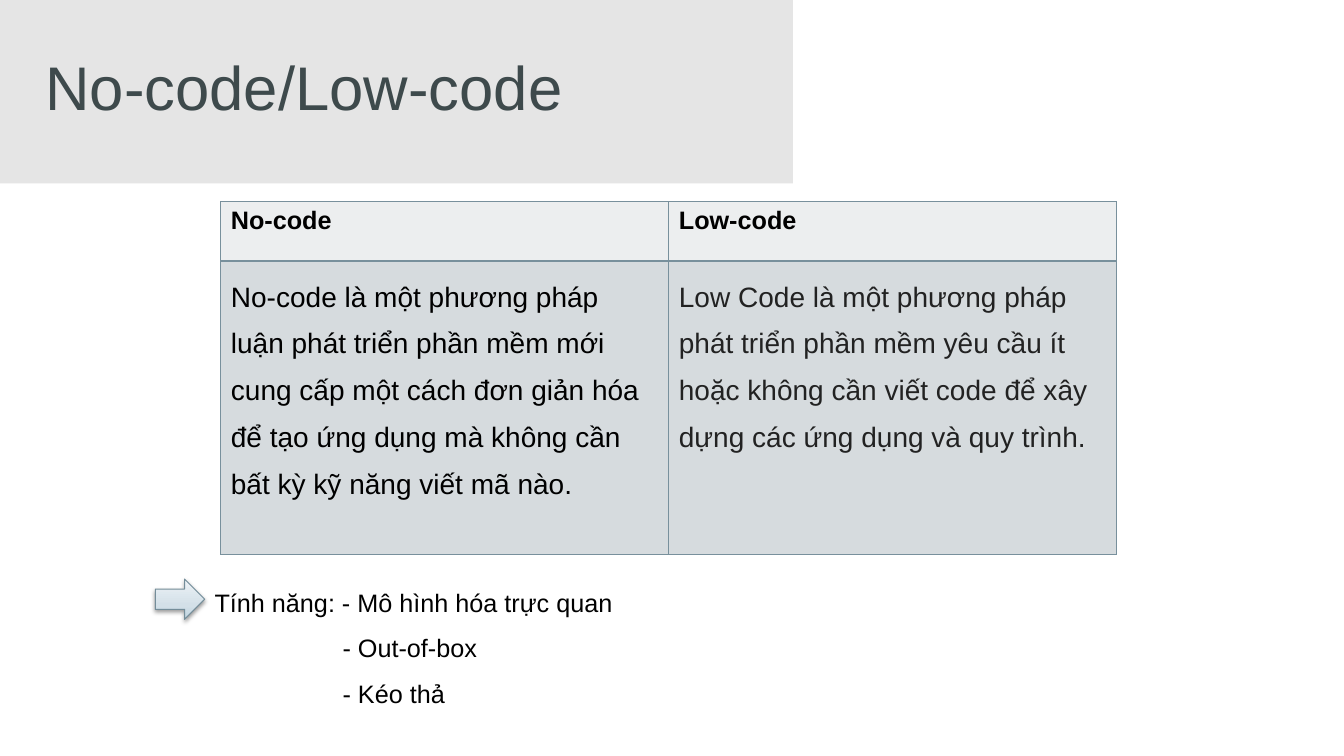
from dataclasses import dataclass

from lxml import etree
from pptx import Presentation
from pptx.dml.color import RGBColor
from pptx.enum.shapes import MSO_SHAPE
from pptx.enum.text import MSO_ANCHOR, PP_ALIGN
from pptx.oxml.ns import qn
from pptx.util import Inches, Pt

RECT, ARROW = MSO_SHAPE.RECTANGLE, MSO_SHAPE.RIGHT_ARROW
LEFT, TOP = PP_ALIGN.LEFT, MSO_ANCHOR.TOP
WIDE, HIGH = 13.33, 7.5


@dataclass(frozen=True)
class Theme:
    font: str = "Arial"
    title: str = "3E4A4C"
    band: str = "D9D9D9"
    text: str = "000000"
    soft: str = "222222"
    head: str = "ECEEEF"
    body: str = "D6DBDE"
    rule: str = "78909C"
    edge: str = "748D99"
    blend: tuple = ((0, "C0D4E0"), (35, "D3E0E8"), (100, "EEF3F7"))
    big: int = 44
    mid: int = 20
    small: int = 18


THEME = Theme()
HEADS = ["No-code", "Low-code"]
BODIES = [
    "No-code là một phương pháp luận phát triển phần mềm mới cung cấp một cách "
    "đơn giản hóa để tạo ứng dụng mà không cần bất kỳ kỹ năng viết mã nào.",
    "Low Code là một phương pháp phát triển phần mềm yêu cầu ít hoặc không cần "
    "viết code để xây dựng các ứng dụng và quy trình.",
]
TRAITS = ["Tính năng: - Mô hình hóa trực quan", "- Out-of-box", "- Kéo thả"]


def rgb(tone):
    return RGBColor.from_string(tone)


def scale(box):
    return [Inches(n) for n in box]


def node(parent, tag, **attrs):
    made = etree.SubElement(parent, qn(tag))
    for key, val in attrs.items():
        made.set(key, str(val))
    return made


def style(para, size, tone, bold=False, space=None):
    if space:
        para.line_spacing = space
    for run in para.runs:
        font = run.font
        font.name, font.size, font.bold = THEME.font, Pt(size), bold
        font.color.rgb = rgb(tone)


def add_title(slide, box):
    x, y, w, h = box
    band = slide.shapes.add_shape(RECT, *scale(box))
    band.shadow.inherit = False
    band.fill.solid()
    band.fill.fore_color.rgb = rgb(THEME.band)
    tone = band.fill._xPr.find(".//" + qn("a:srgbClr"))
    node(tone, "a:alpha", val=66000)
    band.line.fill.background()

    title = slide.shapes.title
    title._element.addprevious(band._element)
    title.left, title.top, title.width, title.height = scale(
        (x + 0.35, y + 0.44, w - 0.72, h - 0.98))
    frame = title.text_frame
    frame.text = "No-code/Low-code"
    frame.vertical_anchor = TOP
    frame.paragraphs[0].alignment = LEFT
    style(frame.paragraphs[0], THEME.big, THEME.title)


def frame_cell(cell):
    """Rule all four sides; the lines must precede the cell's fill."""
    props = cell._tc.get_or_add_tcPr()
    for side in ("a:lnL", "a:lnR", "a:lnT", "a:lnB"):
        line = node(props, side, w=Pt(1))
        node(node(line, "a:solidFill"), "a:srgbClr", val=THEME.rule)


def add_grid(slide, box):
    rows = [HEADS, BODIES]
    table = slide.shapes.add_table(2, 2, *scale(box)).table
    top = 0.59
    for row, high in zip(table.rows, (top, box[3] - top)):
        row.height = Inches(high)
    for r, texts in enumerate(rows):
        for c, text in enumerate(texts):
            cell = table.cell(r, c)
            frame_cell(cell)
            cell.fill.solid()
            cell.fill.fore_color.rgb = rgb(THEME.body if r else THEME.head)
            cell.text_frame.text = text
            para = cell.text_frame.paragraphs[0]
            if r:
                style(para, THEME.mid, THEME.soft if c else THEME.text, space=1.5)
            else:
                style(para, THEME.small, THEME.text, bold=True)


def add_arrow(slide, box):
    arrow = slide.shapes.add_shape(ARROW, *scale(box))
    arrow.fill.gradient()
    arrow.fill.gradient_angle = 90
    props = arrow._element.spPr
    stops = props.find(".//" + qn("a:gsLst"))
    for stop in list(stops):
        stops.remove(stop)
    for share, tone in THEME.blend:
        node(node(stops, "a:gs", pos=share * 1000), "a:srgbClr", val=tone)
    arrow.line.color.rgb = rgb(THEME.edge)
    arrow.line.width = Pt(0.75)
    arrow.shadow.inherit = False
    shade = node(props.find(qn("a:effectLst")), "a:outerShdw", blurRad=Pt(3.1),
                 dist=Pt(1.6), dir=5400000, rotWithShape=0)
    node(node(shade, "a:srgbClr", val="000000"), "a:alpha", val=38000)


def add_traits(slide, box):
    x, y, w, h = box
    lead = 0.49
    frame = slide.shapes.add_textbox(*scale((x + lead, y, w - lead, h))).text_frame
    frame.word_wrap = True
    frame.text = "\n".join(TRAITS)
    for i, para in enumerate(frame.paragraphs):
        if i:
            para._p.get_or_add_pPr().set("marL", str(Inches(1.27)))
        style(para, THEME.small, THEME.text, space=1.5)
    add_arrow(slide, (x, y + 0.12, lead, 0.4))


def main():
    deck = Presentation()
    deck.slide_width, deck.slide_height = Inches(WIDE), Inches(HIGH)
    slide = deck.slides.add_slide(deck.slide_layouts[5])
    add_title(slide, (0, 0, WIDE * 0.59, 1.82))
    add_grid(slide, (2.19, 2, WIDE * 2 / 3, 3.5))
    add_traits(slide, (1.54, HIGH * 0.75, 9.05, 1.41))
    deck.save("out.pptx")


if __name__ == "__main__":
    main()
